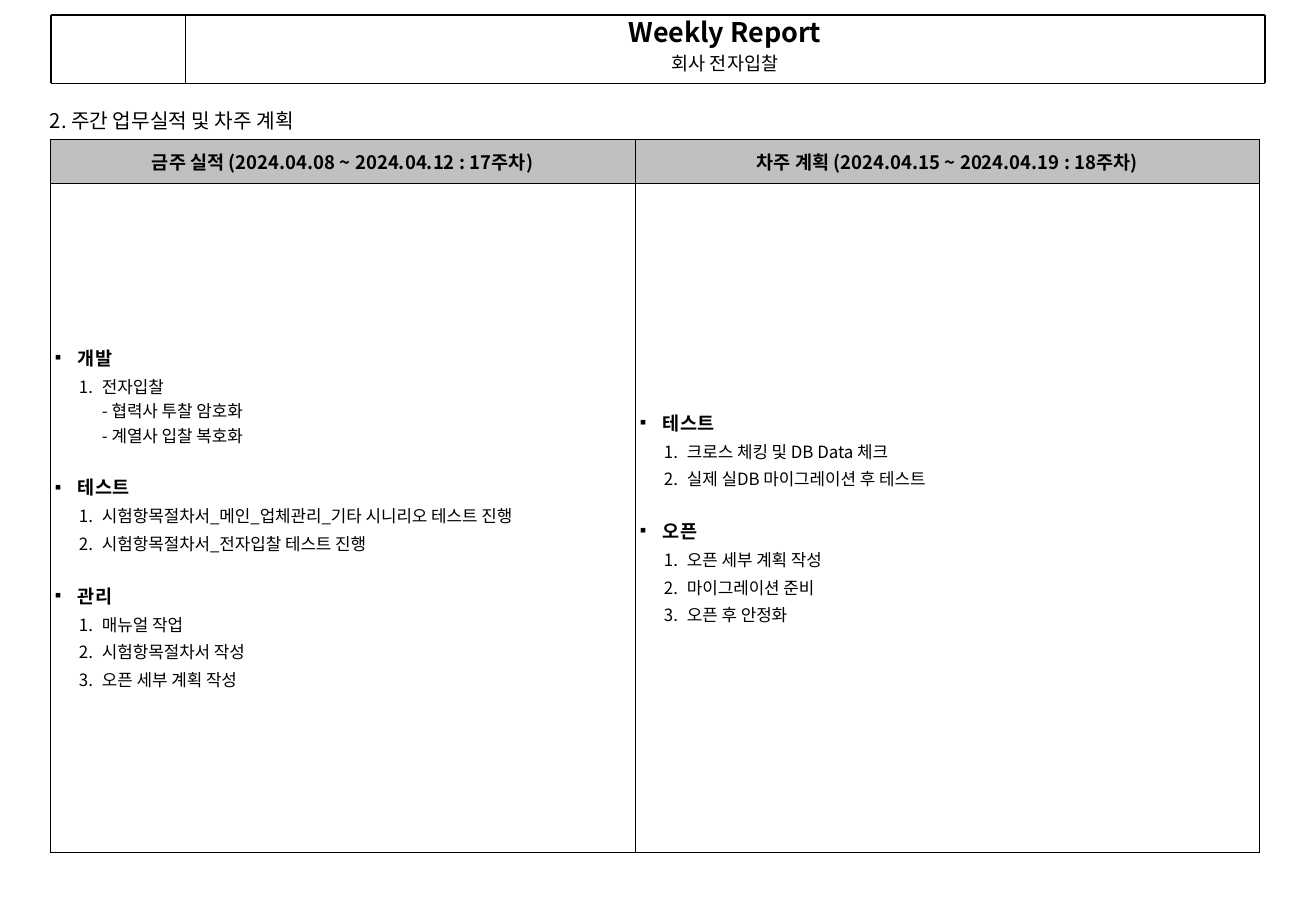
from lxml import etree
from pptx import Presentation
from pptx.dml.color import RGBColor
from pptx.enum.shapes import MSO_CONNECTOR
from pptx.enum.text import MSO_ANCHOR, MSO_AUTO_SIZE, PP_ALIGN
from pptx.oxml.ns import qn
from pptx.util import Emu, Inches, Pt

STRAIGHT = MSO_CONNECTOR.STRAIGHT
TOP, MIDDLE = MSO_ANCHOR.TOP, MSO_ANCHOR.MIDDLE
LEFT, CENTER = PP_ALIGN.LEFT, PP_ALIGN.CENTER
NO_AUTOFIT = MSO_AUTO_SIZE.NONE

BLACK = RGBColor(0x00, 0x00, 0x00)
GRAY = RGBColor(0xC0, 0xC0, 0xC0)
FONT = "Noto Sans CJK KR"
BULLET_FONT = "Arial"
EMU_PER_PIXEL = 914400 / 121.4

# Each plan lists (heading, numbered items); extra lines of an item follow a break
THIS_WEEK = [
    ("개발", ["전자입찰\n- 협력사 투찰 암호화\n- 계열사 입찰 복호화"]),
    ("테스트", ["시험항목절차서_메인_업체관리_기타 시니리오 테스트 진행",
             "시험항목절차서_전자입찰 테스트 진행"]),
    ("관리", ["매뉴얼 작업", "시험항목절차서 작성", "오픈 세부 계획 작성"]),
]
NEXT_WEEK = [
    ("테스트", ["크로스 체킹 및 DB Data 체크", "실제 실DB 마이그레이션 후 테스트"]),
    ("오픈", ["오픈 세부 계획 작성", "마이그레이션 준비", "오픈 후 안정화"]),
]
COLUMNS = [
    ("금주 실적 (2024.04.08 ~ 2024.04.12 : 17주차)", THIS_WEEK),
    ("차주 계획 (2024.04.15 ~ 2024.04.19 : 18주차)", NEXT_WEEK),
]


def px(pixels):
    return Emu(round(pixels * EMU_PER_PIXEL))


def add_run(paragraph, text, size, bold=False):
    run = paragraph.add_run()
    run.text = text
    font = run.font
    font.size, font.bold, font.name = Pt(size), bold, FONT
    font.color.rgb = BLACK
    font._element.set("kern", "0")
    etree.SubElement(font._element, qn("a:ea"), typeface=FONT)


def add_paragraph(frame, align, before=0, after=0):
    first = frame.paragraphs[0]
    paragraph = frame.add_paragraph() if first.runs else first
    paragraph.alignment = align
    paragraph.space_before, paragraph.space_after = Pt(before), Pt(after)
    return paragraph


def set_bullet(paragraph, indent, font, tag, **attributes):
    properties = paragraph._p.get_or_add_pPr()
    properties.set("marL", str(px(indent)))
    properties.set("indent", str(-px(23)))
    color = etree.SubElement(properties, qn("a:buClr"))
    etree.SubElement(color, qn("a:srgbClr"), val=str(BLACK))
    etree.SubElement(properties, qn("a:buFont"), typeface=font)
    etree.SubElement(properties, qn(tag), **attributes)


def add_line(slide, start, end, width):
    line = slide.shapes.add_connector(STRAIGHT, *map(px, start + end))
    line.line.color.rgb = BLACK
    line.line.width = Pt(width)
    etree.SubElement(line._element.spPr, qn("a:effectLst"))


def set_borders(cell, widths):
    properties = cell._tc.get_or_add_tcPr()
    for side, width in zip(("L", "R", "T", "B"), widths):
        border = etree.SubElement(properties, qn(f"a:ln{side}"), w=str(Pt(width)))
        fill = etree.SubElement(border, qn("a:solidFill"))
        etree.SubElement(fill, qn("a:srgbClr"), val=str(BLACK))


def build_header(slide, left, top, width, height):
    right, bottom, divider = left + width, top + height, left + 134
    # Report title and project name
    title = slide.shapes.title
    title.left, title.top = px(divider), px(top + 3)
    title.width, title.height = px(right - divider), px(height)
    frame = title.text_frame
    frame.auto_size, frame.word_wrap = NO_AUTOFIT, True
    frame.vertical_anchor = TOP
    frame.margin_top = frame.margin_bottom = 0
    for text, size, bold in (("Weekly Report", 16, True), ("회사 전자입찰", 11, False)):
        paragraph = add_paragraph(frame, CENTER, 2.8)
        paragraph.line_spacing = 0.95
        add_run(paragraph, text, size, bold)
    # Frame and divider
    add_line(slide, (divider, top), (divider, bottom), 0.26)
    for x in (left, right):
        add_line(slide, (x, top), (x, bottom), 1.5)
    add_line(slide, (left, top), (right, top), 1.5)
    add_line(slide, (left, bottom), (right, bottom), 0.26)


def build_section_heading(slide, left, top, width, height):
    box = slide.shapes.add_textbox(px(left), px(top), px(width), px(height))
    box.text_frame.word_wrap = True
    add_run(add_paragraph(box.text_frame, LEFT), "2. 주간 업무실적 및 차주 계획", 12)


def fill_plan(frame, plan):
    for index, (heading, items) in enumerate(plan):
        paragraph = add_paragraph(frame, LEFT, 14.5 if index else 1, 1)
        set_bullet(paragraph, 23, BULLET_FONT, "a:buChar", char="▪")
        add_run(paragraph, heading, 11, True)
        for item in items:
            paragraph = add_paragraph(frame, LEFT, 1, 1)
            paragraph.level = 1
            set_bullet(paragraph, 47, FONT, "a:buAutoNum", type="arabicPeriod")
            for number, text in enumerate(item.split("\n")):
                if number:
                    paragraph.add_line_break()
                add_run(paragraph, text, 10)


def build_plan_table(slide, left, top, width, height):
    shape = slide.shapes.add_table(2, 2, px(left), px(top), px(width), px(height))
    table = shape.table
    table.first_row = table.horz_banding = False
    first_width, header_height = 585, 44
    for column, size in zip(table.columns, (first_width, width - first_width)):
        column.width = px(size)
    for row, size in zip(table.rows, (header_height, height - header_height)):
        row.height = px(size)
    for column, (heading, plan) in enumerate(COLUMNS):
        for row, margin in enumerate((2, 5)):
            cell = table.cell(row, column)
            cell.vertical_anchor = MIDDLE
            cell.margin_left = cell.margin_right = px(margin)
            cell.margin_top = cell.margin_bottom = px(6)
            set_borders(cell, (0.45, 0.74 if column else 0.45,
                               0.45 if row else 0.74, 0.45))
        # Header cell
        header, body = table.cell(0, column), table.cell(1, column)
        header.fill.solid()
        header.fill.fore_color.rgb = GRAY
        add_run(add_paragraph(header.text_frame, CENTER, 2.8, 2.8), heading, 11, True)
        # Plan cell
        body.fill.background()
        fill_plan(body.text_frame, plan)


presentation = Presentation()
presentation.slide_width, presentation.slide_height = Inches(10.84), Inches(7.5)
TITLE_ONLY = presentation.slide_layouts[5]
report_slide = presentation.slides.add_slide(TITLE_ONLY)
build_header(report_slide, 51, 15, 1214, 68)
build_section_heading(report_slide, 38, 102, 373, 36)
build_plan_table(report_slide, 50, 139, 1210, 713)
presentation.save("out.pptx")
